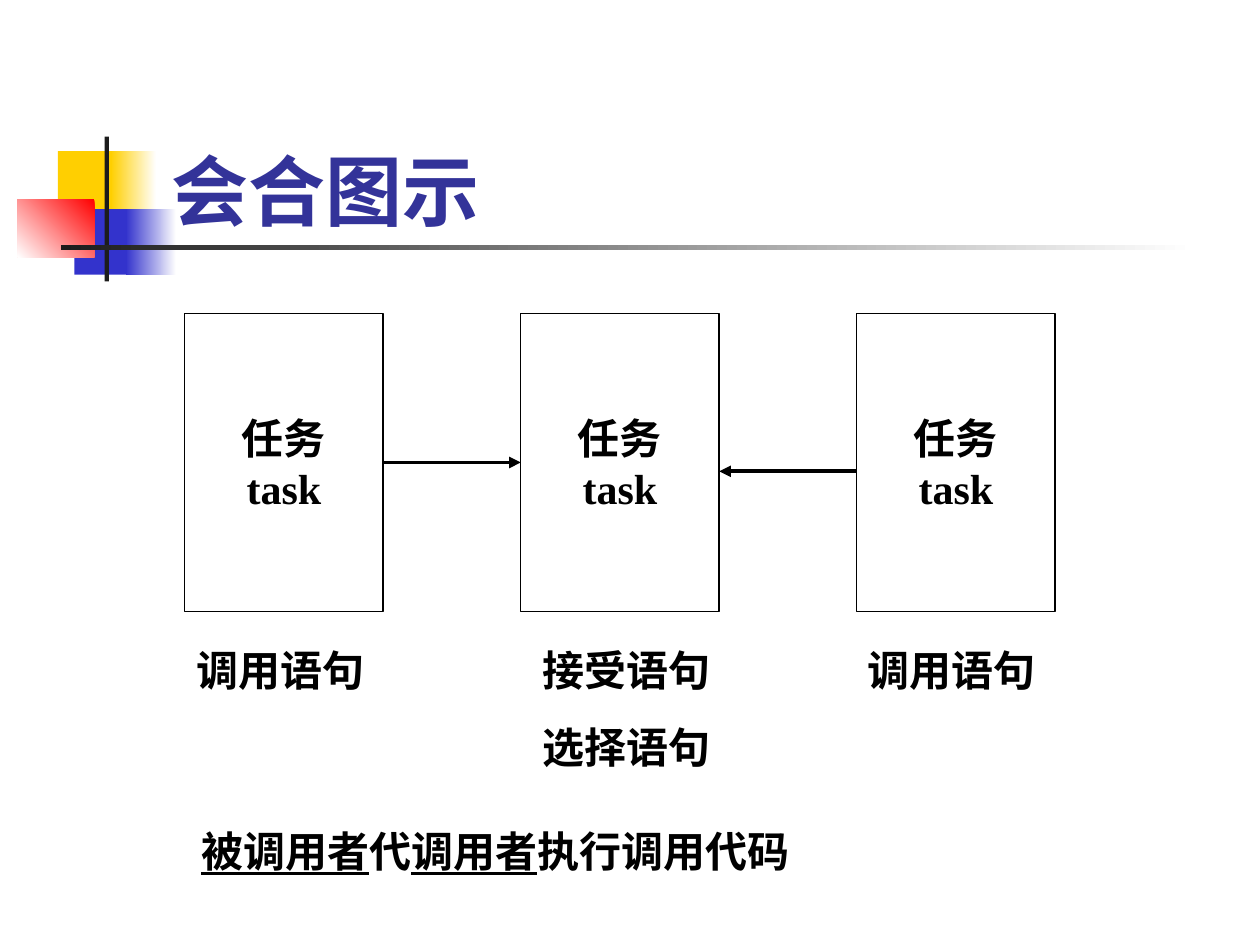
from lxml import etree
from pptx import Presentation
from pptx.dml.color import RGBColor
from pptx.enum.shapes import MSO_CONNECTOR, MSO_SHAPE
from pptx.enum.text import MSO_ANCHOR, MSO_AUTO_SIZE, PP_ALIGN
from pptx.oxml.ns import qn
from pptx.util import Pt

RECTANGLE = MSO_SHAPE.RECTANGLE
STRAIGHT = MSO_CONNECTOR.STRAIGHT
BOTTOM, MIDDLE = MSO_ANCHOR.BOTTOM, MSO_ANCHOR.MIDDLE
LEFT, CENTER = PP_ALIGN.LEFT, PP_ALIGN.CENTER
NO_AUTOFIT = MSO_AUTO_SIZE.NONE


def rgb(value):
    return RGBColor.from_string(value)


def style(para, font="Times New Roman", size=24, color="000000", align=LEFT):
    para.alignment = align
    para.font.name = font
    para.font.size = Pt(size)
    para.font.bold = True
    para.font.color.rgb = rgb(color)


deck = Presentation()
deck.slide_width, deck.slide_height = Pt(720), Pt(540)
page = deck.slides.add_slide(deck.slide_layouts[5])

# Decoration: left, top, width, height, colours (two for a gradient), angle
decorations = [
    (33.1, 86.4, 34.6, 37.4, ["FFCF01"], 0),
    (63.4, 86.4, 25.9, 37.4, ["FFFFFF", "FFCF01"], 180),
    (42.5, 119.5, 33.1, 37.4, ["3333CC"], 0),
    (72, 119.5, 28.8, 37.4, ["FFFFFF", "3333CC"], 180),
    (10, 113.8, 44, 33.1, ["FF0000", "FFFFFF"], 225),
    (59.8, 78, 2.4, 82.8, ["1C1C1C"], 0),
    (34.8, 140.2, 648, 2.4, ["FFFFFF", "1C1C1C"], 180),
]
for left, top, width, height, colors, angle in decorations:
    block = page.shapes.add_shape(RECTANGLE, Pt(left), Pt(top), Pt(width), Pt(height))
    block.shadow.inherit = False
    block.line.fill.background()
    if len(colors) == 1:
        block.fill.solid()
        block.fill.fore_color.rgb = rgb(colors[0])
    else:
        block.fill.gradient()
        block.fill.gradient_angle = angle
        for stop, color in zip(block.fill.gradient_stops, colors):
            stop.color.rgb = rgb(color)

# Title
title = page.shapes.title
title.left, title.top, title.width, title.height = Pt(90.7), Pt(48.2), Pt(613.4), Pt(90)
title.text_frame.text = "会合图示"
title.text_frame.auto_size = NO_AUTOFIT
title.text_frame.vertical_anchor = BOTTOM
style(title.text_frame.paragraphs[0], "Cabin", 44, "333399")

# Task boxes, evenly spaced
task_boxes = []
for column in range(3):
    box = page.shapes.add_shape(
        RECTANGLE, Pt(105.6 + 192 * column), Pt(179.3), Pt(113.3), Pt(170))
    box.shadow.inherit = False
    box.fill.background()
    box.line.color.rgb = rgb("000000")
    box.line.width = Pt(0.75)
    box.text_frame.word_wrap = False
    box.text_frame.vertical_anchor = MIDDLE
    box.text_frame.text = "任务\ntask"
    for para in box.text_frame.paragraphs:
        style(para, align=CENTER)
    task_boxes.append(box)
caller, acceptor, _ = task_boxes

# Call arrows pointing at the accepting task
call_right = page.shapes.add_connector(STRAIGHT, Pt(218.9), Pt(264), Pt(297.6), Pt(264))
call_right.begin_connect(caller, 3)
call_right.end_connect(acceptor, 1)
call_left = page.shapes.add_connector(STRAIGHT, Pt(489.2), Pt(269.3), Pt(411), Pt(269.3))
for arrow in (call_right, call_left):
    arrow.line.color.rgb = rgb("000000")
    arrow.line.width = Pt(2.25)
    line = arrow.line._get_or_add_ln()
    etree.SubElement(line, qn("a:tailEnd"), type="triangle")
    etree.SubElement(arrow._element.spPr, qn("a:effectLst"))

# Captions: left, top, width, height, paragraphs made of (text, underlined) spans
captions = [
    (105.1, 365, 113.8, 36, [[("调用语句", False)]]),
    (488.9, 365, 113.8, 36, [[("调用语句", False)]]),
    (303.1, 365, 113.8, 80, [[("接受语句", False)], [("选择语句", False)]]),
    (108, 468, 480, 36, [[("被调用者", True), ("代", False),
                          ("调用者", True), ("执行调用代码", False)]]),
]
for left, top, width, height, paragraphs in captions:
    box = page.shapes.add_textbox(Pt(left), Pt(top), Pt(width), Pt(height))
    frame = box.text_frame
    frame.word_wrap = True
    for index, spans in enumerate(paragraphs):
        para = frame.add_paragraph() if index else frame.paragraphs[0]
        style(para)
        if index:
            para.space_before = Pt(15)
        for text, underlined in spans:
            span = para.add_run()
            span.text = text
            if underlined:
                span.font.underline = True

deck.save("out.pptx")
